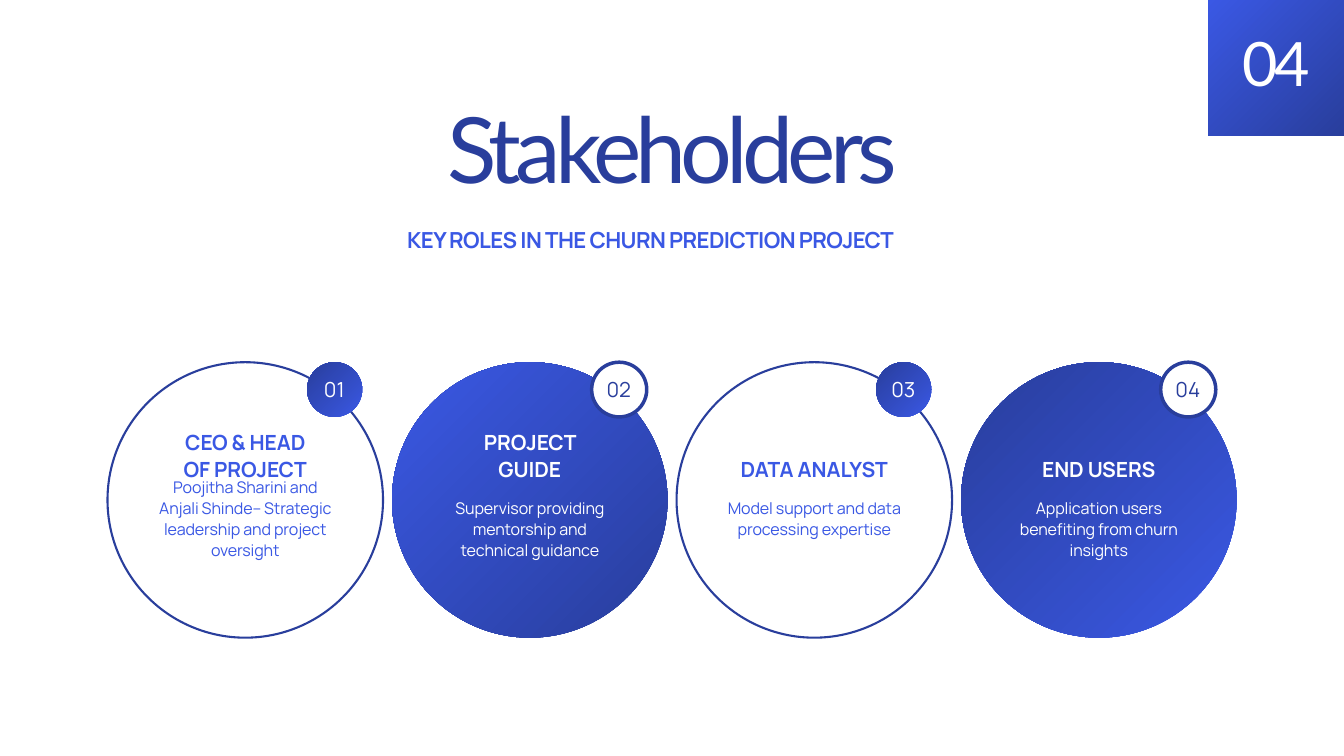
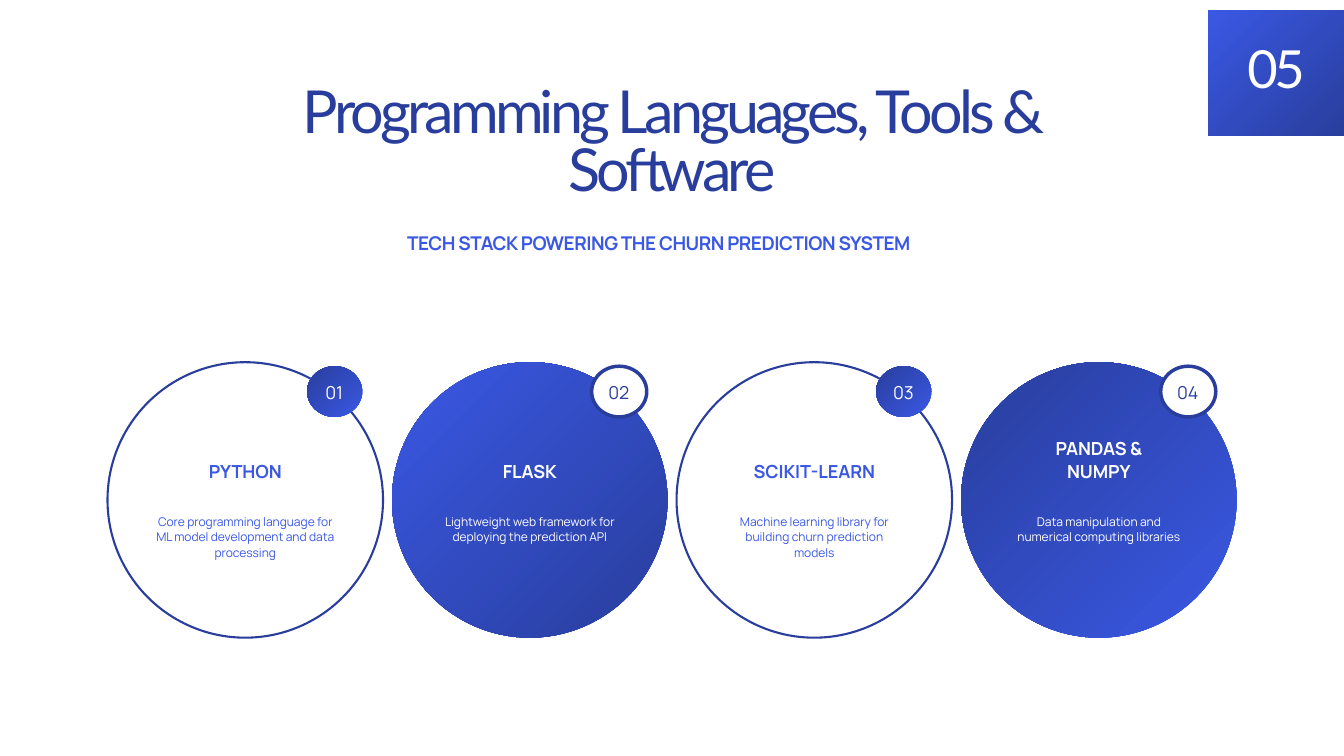
"""Build two slides of four numbered circles, laid out on a 100 by 100 grid."""
from dataclasses import dataclass
from typing import NamedTuple

from lxml import etree
from pptx import Presentation
from pptx.dml.color import RGBColor
from pptx.enum.shapes import MSO_SHAPE
from pptx.enum.text import MSO_ANCHOR, MSO_AUTO_SIZE, PP_ALIGN
from pptx.oxml.ns import qn
from pptx.shapes.autoshape import Shape
from pptx.slide import Slide
from pptx.util import Inches, Length, Pt

OVAL, RECT = MSO_SHAPE.OVAL, MSO_SHAPE.RECTANGLE
LEFT, MID = PP_ALIGN.LEFT, PP_ALIGN.CENTER
TOP, GROW = MSO_ANCHOR.TOP, MSO_AUTO_SIZE.SHAPE_TO_FIT_TEXT

WIDE, HIGH = Inches(20), Inches(11.25)
BLUE, NAVY, WHITE = "3A58E4", "293E9C", "FFFFFF"
LATO, SANS = "Lato", "Manrope"
FRAME = {"margin_left": 0, "margin_right": 0, "margin_top": 0,
         "margin_bottom": 0, "word_wrap": True, "auto_size": GROW,
         "vertical_anchor": TOP}

FIRST, STEP = 8, 21.17
RING_TOP, RING_W, RING_H = 47.91, 20.5, 36.44
BADGE_X, BADGE_W, BADGE_END = 14.85, 4.1, 55.15
TAG_X, TAG_W, TAG_END = 89.9, 10.1, 17.96
HEAD_END, BODY_END = 63.75, 74.03
POINTS = 8.1


class Box(NamedTuple):
    """A place on the grid, in columns and rows."""
    x: float
    y: float
    w: float
    h: float


class Type(NamedTuple):
    """A text style: size, line height and letter gap in points."""
    face: str
    size: float
    lead: float
    gap: float
    bold: bool = False


class Card(NamedTuple):
    """The words in one circle and the lines they take."""
    head: str
    body: str
    lines: int = 1
    rows: int = 3
    span: float = 10.85


class Look(NamedTuple):
    """The colours of one circle and its badge."""
    fill: tuple[str, ...]
    edge: float
    ink: str
    badge: tuple[str, ...]
    rim: float
    num: str


RING = Look((), 2.25, BLUE, (NAVY, BLUE), 0, WHITE)
DISC = Look((BLUE, NAVY), 0, WHITE, (WHITE,), 3.75, NAVY)
LOOKS = (RING, DISC, RING, DISC._replace(fill=(NAVY, BLUE)))


@dataclass
class Page:
    """What differs from slide to slide."""
    tag: str
    title: str
    sub: str
    cards: list[Card]
    tag_top: float
    badge_top: float
    tag_box: Box
    title_box: Box
    sub_box: Box
    num_top: float
    tag_type: Type
    title_type: Type
    sub_type: Type
    head_type: Type
    body_type: Type
    num_type: Type


PAGES = [
    Page("04", "Stakeholders", "KEY ROLES IN THE CHURN PREDICTION PROJECT",
         [Card("CEO & HEAD OF PROJECT",
               "Poojitha Sharini and Anjali Shinde– Strategic leadership "
               "and project oversight", 2, 4),
          Card("PROJECT GUIDE",
               "Supervisor providing mentorship and technical guidance", 2),
          Card("DATA ANALYST",
               "Model support and data processing expertise", span=12.9),
          Card("END USERS",
               "Application users benefiting from churn insights")],
         0, RING_TOP, Box(91.2, 5.07, 7.5, 8.71),
         Box(18.4, 14.84, 63.2, 12.36), Box(30.3, 29.42, 38.45, 4.09), 49.6,
         Type(LATO, 65.5, 64.2, -4.2), Type(LATO, 97.9, 96, -6.3),
         Type(SANS, 23.7, 33.2, -0.6, True),
         Type(SANS, 22.4, 28.9, -0.1, True),
         Type(SANS, 17.2, 22.3, -0.1), Type(SANS, 22.2, 28.7, -0.1)),
    Page("05", "Programming Languages, Tools & Software",
         "TECH STACK POWERING THE CHURN PREDICTION SYSTEM",
         [Card("PYTHON", "Core programming language for ML model "
               "development and data processing"),
          Card("FLASK",
               "Lightweight web framework for deploying the prediction API"),
          Card("SCIKIT-LEARN", "Machine learning library for building "
               "churn prediction models", span=12.9),
          Card("PANDAS & NUMPY",
               "Data manipulation and numerical computing libraries", 2)],
         1.33, 48.44, Box(91.2, 6.31, 7.5, 7.47),
         Box(18.4, 11.47, 63.2, 15.82), Box(30.3, 30.13, 38.45, 3.38), 50.22,
         Type(LATO, 56.2, 55.1, -3.6), Type(LATO, 63.5, 62.3, -4.1),
         Type(SANS, 20.3, 28.5, -0.5, True),
         Type(SANS, 19.3, 24.9, -0.1, True),
         Type(SANS, 12.9, 16.7, 0), Type(SANS, 19.1, 24.6, -0.1)),
]


def rgb(code: str) -> RGBColor:
    """Turn a hex string into a colour."""
    return RGBColor.from_string(code)


def place(box: Box) -> tuple[Length, ...]:
    """Turn grid columns and rows into lengths."""
    return (Length(WIDE * box.x / 100), Length(HIGH * box.y / 100),
            Length(WIDE * box.w / 100), Length(HIGH * box.h / 100))


def blend(shape: Shape, tones: tuple[str, ...]) -> None:
    """Fill a shape with a blend that spreads from its top left corner."""
    shape.fill.gradient()
    for stop, tone in zip(shape.fill.gradient_stops, tones):
        stop.color.rgb = rgb(tone)
    grad = shape._element.spPr.find(qn("a:gradFill"))
    line = grad.find(qn("a:lin"))
    way = etree.Element(qn("a:path"), {"path": "circle"})
    etree.SubElement(way, qn("a:fillToRect"),
                     {"l": "0", "t": "0", "r": "100000", "b": "100000"})
    grad.replace(line, way)


def draw(slide: Slide, kind: MSO_SHAPE, box: Box, tones: tuple[str, ...],
         edge: float = 0) -> None:
    """Draw a shape with no fill, one tone or a blend of two."""
    shape = slide.shapes.add_shape(kind, *place(box))
    shape.shadow.inherit = False
    if len(tones) > 1:
        blend(shape, tones)
    elif tones:
        shape.fill.solid()
        shape.fill.fore_color.rgb = rgb(tones[0])
    else:
        shape.fill.background()
    if edge:
        shape.line.color.rgb = rgb(NAVY)
        shape.line.width = Pt(edge)
    else:
        shape.line.fill.background()


def write(slide: Slide, box: Box, text: str, kind: Type, ink: str,
          side: PP_ALIGN = MID) -> None:
    """Write one paragraph in a text box."""
    frame = slide.shapes.add_textbox(*place(box)).text_frame
    for name, value in FRAME.items():
        setattr(frame, name, value)
    para = frame.paragraphs[0]
    para.alignment = side
    para.line_spacing = Pt(kind.lead)
    run = para.add_run()
    run.text = text
    font = {"name": kind.face, "size": Pt(kind.size), "bold": kind.bold}
    for name, value in font.items():
        setattr(run.font, name, value)
    run.font.color.rgb = rgb(ink)
    run._r.get_or_add_rPr().set("spc", str(round(kind.gap * 100)))


def stack(mid: float, end: float, span: float, lines: int,
          kind: Type) -> Box:
    """Give the box of some lines, centred on mid and ending at end."""
    tall = lines * kind.lead / POINTS
    return Box(mid - span / 2, end - tall, span, tall)


def show(slide: Slide, page: Page, spot: int) -> None:
    """Draw one circle with its words and badge."""
    card, look = page.cards[spot], LOOKS[spot]
    left = FIRST + spot * STEP
    mid = left + RING_W / 2
    draw(slide, OVAL, Box(left, RING_TOP, RING_W, RING_H),
         look.fill, look.edge)
    write(slide, stack(mid, HEAD_END, card.span, card.lines, page.head_type),
          card.head, page.head_type, look.ink)
    write(slide, stack(mid, BODY_END, 13.25, card.rows, page.body_type),
          card.body, page.body_type, look.ink)
    badge = Box(left + BADGE_X, page.badge_top, BADGE_W,
                BADGE_END - page.badge_top)
    draw(slide, OVAL, badge, look.badge, look.rim)
    num = Box(badge.x + 0.7, page.num_top, 2.65, page.num_type.lead / POINTS)
    write(slide, num, f"{spot + 1:02}", page.num_type, look.num)


def build(slide: Slide, page: Page) -> None:
    """Draw a whole slide."""
    tag = Box(TAG_X, page.tag_top, TAG_W, TAG_END - page.tag_top)
    draw(slide, RECT, tag, (BLUE, NAVY))
    write(slide, page.tag_box, page.tag, page.tag_type, WHITE)
    write(slide, page.sub_box, page.sub, page.sub_type, BLUE, LEFT)
    for spot in range(len(page.cards)):
        show(slide, page, spot)
    write(slide, page.title_box, page.title, page.title_type, NAVY)


def main() -> None:
    """Make the deck and save it."""
    deck = Presentation()
    deck.slide_width, deck.slide_height = WIDE, HIGH
    for page in PAGES:
        build(deck.slides.add_slide(deck.slide_layouts[6]), page)
    deck.save("out.pptx")


if __name__ == "__main__":
    main()
